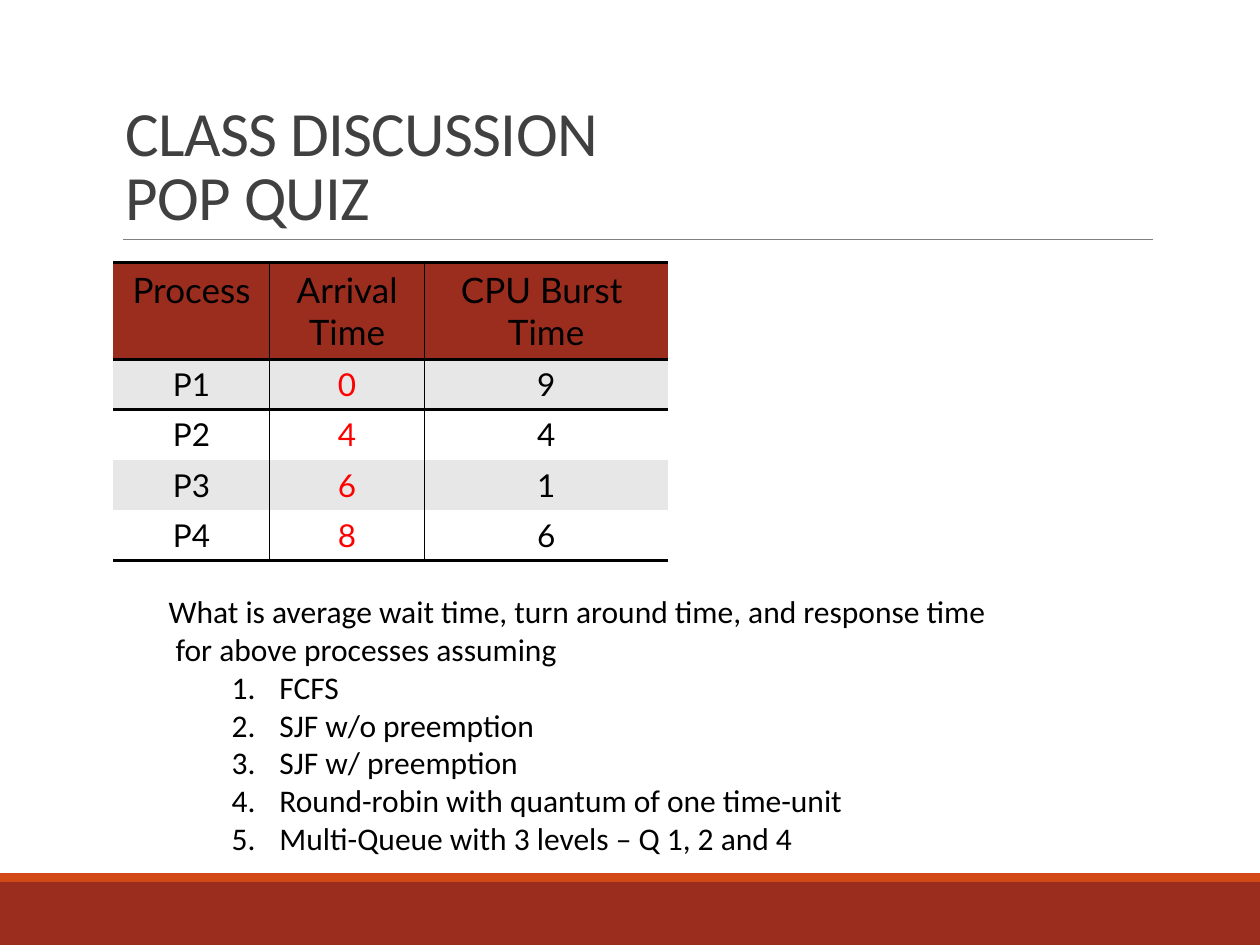
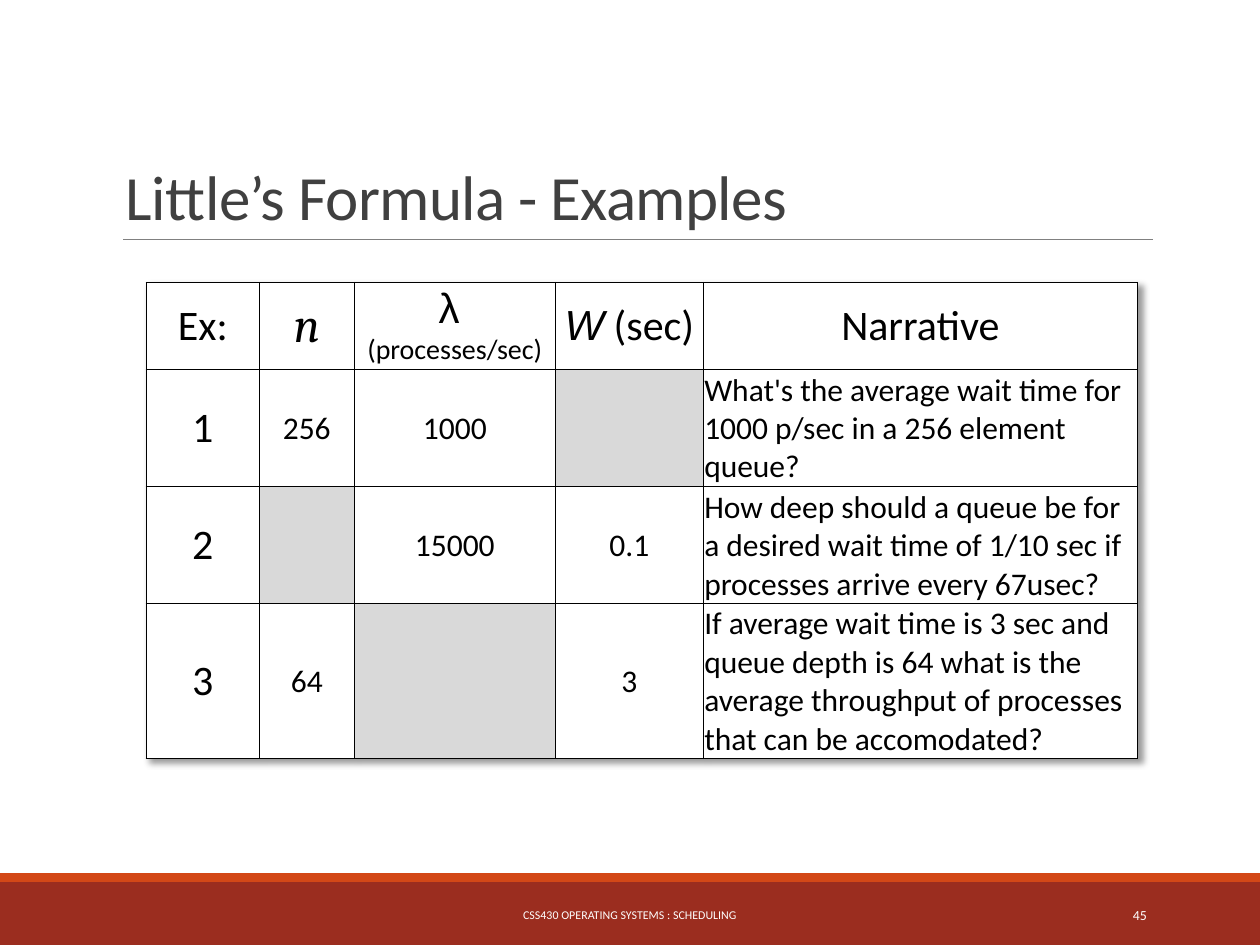
from lxml.etree import SubElement
from pptx import Presentation
from pptx.dml.color import RGBColor
from pptx.enum.shapes import MSO_CONNECTOR, MSO_SHAPE
from pptx.enum.text import MSO_ANCHOR as Anchor, PP_ALIGN as Align
from pptx.oxml.ns import qn
from pptx.util import Inches, Pt

BRICK = RGBColor(0x9B, 0x2D, 0x1F)
ORANGE = RGBColor(0xD3, 0x48, 0x17)
RULE = RGBColor(0x80, 0x80, 0x80)
INK = RGBColor(0x40, 0x40, 0x40)
BLACK = RGBColor(0, 0, 0)
WHITE = RGBColor(0xFF, 0xFF, 0xFF)
RED = RGBColor(0xFF, 0, 0)
STRIPE = RGBColor(0xE7, 0xE7, 0xE7)
BLANK = RGBColor(0xD9, 0xD9, 0xD9)
PLAIN = "{2D5ABB26-0587-4C30-8999-92F81FD0307C}"

JOBS = [
    ("Process", "Arrival\nTime", "CPU Burst \nTime"),
    ("P1", "0", "9"),
    ("P2", "4", "4"),
    ("P3", "6", "1"),
    ("P4", "8", "6"),
]
ASK = [
    "What is average wait time, turn around time, and response time",
    " for above processes assuming",
]
PLANS = [
    "FCFS",
    "SJF w/o preemption",
    "SJF w/ preemption",
    "Round-robin with quantum of one time-unit",
    "Multi-Queue with 3 levels – Q 1, 2 and 4",
]
CASES = [
    ("Ex:", "n", "λ \n(processes/sec)", "W", "Narrative"),
    ("1", "256", "1000", "",
     "What's the average wait time for 1000 p/sec in a 256 element queue?"),
    ("2", "", "15000", "0.1",
     "How deep should a queue be for a desired wait time of 1/10 sec "
     "if processes arrive every 67usec?"),
    ("3", "64", "", "3",
     "If average wait time is 3 sec and queue depth is 64 what is the "
     "average throughput of processes that can be accomodated?"),
]


def style(run, size, color=BLACK, face="Calibri", slant=False):
    """Set the look of one run."""
    font = run.font
    font.size, font.name, font.italic = Pt(size), face, slant
    font.color.rgb = color


def dress(frame, size, color=BLACK, face="Calibri", align=Align.LEFT):
    """Set the look of all text in a frame."""
    for para in frame.paragraphs:
        para.alignment = align
        for run in para.runs:
            style(run, size, color, face)


def label(slide, box, text, size, color=BLACK, align=Align.LEFT, anchor=Anchor.TOP):
    """Add a wrapped text box and return its frame."""
    frame = slide.shapes.add_textbox(*map(Inches, box)).text_frame
    frame.word_wrap, frame.vertical_anchor = True, anchor
    frame.text = text
    dress(frame, size, color, align=align)
    return frame


def band(slide, top, height, color):
    """Add a full-width colour band."""
    bar = slide.shapes.add_shape(
        MSO_SHAPE.RECTANGLE, 0, Inches(top), Inches(10), Inches(height))
    bar.shadow.inherit = False
    bar.fill.solid()
    bar.fill.fore_color.rgb = color
    bar.line.fill.background()


def base(deck, title):
    """Add a slide with bands, title and rule."""
    slide = deck.slides.add_slide(deck.slide_layouts[6])
    band(slide, 7, 0.5, BRICK)
    band(slide, 6.93, 0.07, ORANGE)
    rule = slide.shapes.add_connector(
        MSO_CONNECTOR.STRAIGHT, Inches(0.98), Inches(1.9), Inches(9.15), Inches(1.9))
    rule.line.color.rgb, rule.line.width = RULE, Pt(0.5)
    SubElement(rule._element.spPr, qn("a:effectLst"))
    frame = label(slide, (0.9, 0.31, 8.25, 1.59), "", 36, anchor=Anchor.BOTTOM)
    para = frame.paragraphs[0]
    para.text, para.line_spacing = title, 0.85
    dress(frame, 36, INK)
    for run in para.runs:
        run._r.get_or_add_rPr().set("spc", "-40")
    return slide


def footer(slide, text, page):
    """Add the course name and page number."""
    label(slide, (3.02, 7.06, 3.96, 0.4), text, 6.8, WHITE, Align.CENTER, Anchor.MIDDLE)
    label(slide, (8.12, 7.06, 1.08, 0.4), page, 7.9, WHITE, Align.RIGHT, Anchor.MIDDLE)


def grid(slide, left, top, cols, rows):
    """Add a table with no style of its own."""
    table = slide.shapes.add_table(
        len(rows), len(cols), Inches(left), Inches(top),
        Inches(sum(cols)), Inches(sum(rows))).table
    table.first_row = table.horz_banding = False
    table._tbl.tblPr.find(qn("a:tableStyleId")).text = PLAIN
    for col, width in zip(table.columns, cols):
        col.width = Inches(width)
    for row, height in zip(table.rows, rows):
        row.height = Inches(height)
    return table


def paint(cell, color, edges):
    """Set cell borders, given as side to points, then its fill."""
    props = cell._tc.get_or_add_tcPr()
    for side in "LRTB":
        if side in edges:
            line = SubElement(props, qn("a:ln" + side), w=str(Pt(edges[side])))
            fill = SubElement(line, qn("a:solidFill"))
            SubElement(fill, qn("a:srgbClr"), val=str(BLACK))
    cell.fill.solid()
    cell.fill.fore_color.rgb = color


def shade(table):
    """Give a table a soft shadow to the lower right."""
    props = table._tbl.tblPr
    effects = SubElement(props, qn("a:effectLst"))
    props.insert(0, effects)
    cast = SubElement(effects, qn("a:outerShdw"), blurRad="50800", dist="38100",
                      dir="2700000", algn="tl", rotWithShape="0")
    tint = SubElement(cast, qn("a:srgbClr"), val=str(BLACK))
    SubElement(tint, qn("a:alpha"), val="40000")


def jobs(slide, left, top):
    """Add the table of processes."""
    table = grid(slide, left, top, [1.24, 1.23, 1.93], [0.77] + [0.4] * 4)
    for r, row in enumerate(JOBS):
        for c, text in enumerate(row):
            cell, edges = table.cell(r, c), {}
            if c > 0:
                edges["L"] = 1
            if c < 2:
                edges["R"] = 1
            if r == 0:
                edges["T"] = 2
            if r in (0, 4):
                edges["B"] = 2
            if r == 1:
                edges["T"] = 2
            paint(cell, BRICK if r == 0 else STRIPE if r % 2 else WHITE, edges)
            cell.text_frame.text = text
            dress(cell.text_frame, 18 if r else 20, RED if r and c == 1 else BLACK,
                  "Lato", Align.CENTER)


def quiz(slide, box):
    """Add the question with its numbered plans."""
    frame = label(slide, box, "\n".join(ASK + PLANS), 18)
    for para in frame.paragraphs[len(ASK):]:
        para.level = 1
        props = para._p.get_or_add_pPr()
        props.set("marL", str(Inches(0.88)))
        props.set("indent", str(Inches(-0.38)))
        SubElement(props, qn("a:buFont"), typeface="+mj-lt")
        SubElement(props, qn("a:buAutoNum"), type="arabicPeriod")


def cases(slide, left, top):
    """Add the table of worked examples."""
    table = grid(slide, left, top, [0.9, 0.75, 1.6, 1.17, 3.45], [0.69, 0.93, 0.93, 1.23])
    shade(table)
    for r, row in enumerate(CASES):
        for c, text in enumerate(row):
            cell = table.cell(r, c)
            story = r > 0 and c == 4
            paint(cell, WHITE if text else BLANK, dict.fromkeys("LRTB", 0.5))
            cell.margin_left = cell.margin_right = cell.margin_top = Inches(0.01)
            cell.margin_bottom = 0
            cell.vertical_anchor = Anchor.BOTTOM if story else Anchor.MIDDLE
            cell.text_frame.text = text
            dress(cell.text_frame, 18 if r and c else 24,
                  align=Align.LEFT if story else Align.CENTER)
    heads = [table.cell(0, c).text_frame.paragraphs for c in range(5)]
    style(heads[1][0].runs[0], 28, face="Cambria", slant=True)
    style(heads[2][0].runs[0], 24, face="Arial")
    style(heads[2][1].runs[0], 16)
    style(heads[3][0].runs[0], 24, face="Arial", slant=True)
    unit = heads[3][0].add_run()
    unit.text = " (sec)"
    style(unit, 24)


def main():
    """Build both slides and save them."""
    deck = Presentation()
    deck.slide_width, deck.slide_height = Inches(10), Inches(7.5)
    slide = base(deck, "CLASS DISCUSSION\nPOP QUIZ")
    jobs(slide, 0.9, 2.08)
    quiz(slide, (1.24, 4.65, 6.77, 2.22))
    slide = base(deck, "Little’s Formula - Examples")
    footer(slide, "CSS430 OPERATING SYSTEMS : SCHEDULING", "45")
    cases(slide, 1.16, 2.24)
    deck.save("out.pptx")


if __name__ == "__main__":
    main()
